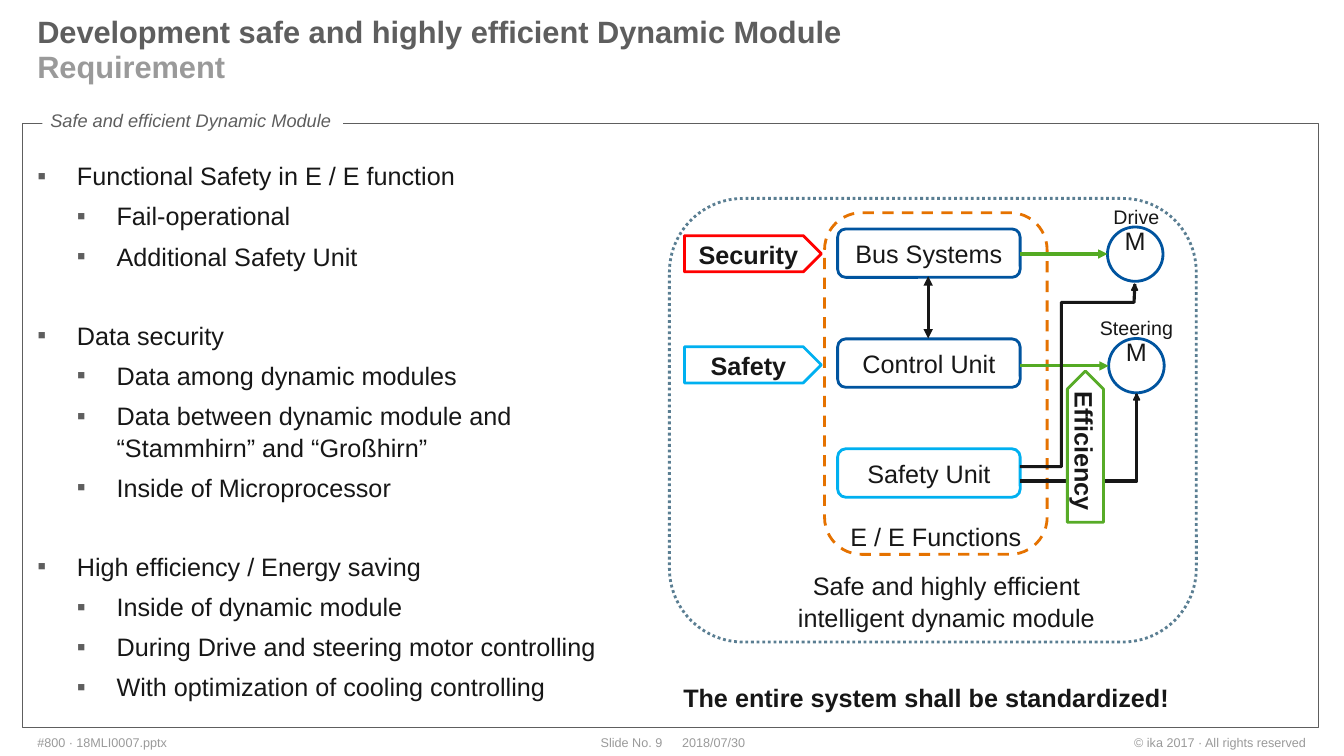
from dataclasses import dataclass

from lxml import etree
from pptx import Presentation
from pptx.dml.color import RGBColor
from pptx.enum.dml import MSO_LINE
from pptx.enum.shapes import MSO_CONNECTOR, MSO_SHAPE
from pptx.enum.text import MSO_ANCHOR, PP_ALIGN
from pptx.oxml.ns import qn
from pptx.util import Cm, Pt


@dataclass(frozen=True)
class Theme:
    font: str = "Arial"
    text: str = "171717"
    heading: str = "5E5E5E"
    muted: str = "9A9A9A"
    white: str = "FFFFFF"
    blue: str = "00549F"
    cyan: str = "00B0F0"
    red: str = "FF0000"
    orange: str = "E57200"
    signal: str = "54AA23"
    green: str = "57AB27"
    slate: str = "5A7E92"
    title_size: int = 22
    body_size: int = 18
    motor_size: int = 14
    label_size: int = 13
    footer_size: int = 9
    line_spacing: float = 1.05


theme = Theme()
presentation = Presentation()
presentation.slide_width, presentation.slide_height = Cm(33.87), Cm(19.05)
slide = presentation.slides.add_slide(presentation.slide_layouts[6])
shapes = slide.shapes


def add_outline(kind, frame, color, width=2, fill=None, dash=None):
    """Add a preset shape; without a fill colour it is see-through."""
    shape = shapes.add_shape(kind, *map(Cm, frame))
    shape.shadow.inherit = False
    if fill:
        shape.fill.solid()
        shape.fill.fore_color.rgb = RGBColor.from_string(fill)
    else:
        shape.fill.background()
    if color:
        shape.line.color.rgb = RGBColor.from_string(color)
        shape.line.width = Pt(width)
    else:
        shape.line.fill.background()
    if dash:
        shape.line.dash_style = dash
    return shape


def write(shape, text, size=theme.body_size, color=theme.text, bold=False, italic=False,
          align=PP_ALIGN.CENTER, anchor=MSO_ANCHOR.MIDDLE, insets=(0.25, 0.13, 0.25, 0.13)):
    """Fill the shape with one paragraph per line; insets are left, top, right, bottom."""
    frame = shape.text_frame
    frame.word_wrap = True
    frame.vertical_anchor = anchor
    (frame.margin_left, frame.margin_top,
     frame.margin_right, frame.margin_bottom) = map(Cm, insets)
    frame.text = text
    for paragraph in frame.paragraphs:
        paragraph.alignment = align
        paragraph.line_spacing = theme.line_spacing
        font = paragraph.font
        font.name, font.size = theme.font, Pt(size)
        font.bold, font.italic = bold, italic
        font.color.rgb = RGBColor.from_string(color)


# Footer
for text, left, width, align, insets in (
    ("© ika 2017 · All rights reserved", 26.26, 6.65, PP_ALIGN.RIGHT, (0, 0, 0, 0)),
    ("2018/07/30", 16.94, 3.2, PP_ALIGN.LEFT, (0.25, 0, 0, 0)),
    ("Slide No. 9", 12.27, 4.67, PP_ALIGN.RIGHT, (0, 0, 0.25, 0)),
    ("#800 · 18MLI0007.pptx", 0.94, 5.99, PP_ALIGN.LEFT, (0, 0, 0, 0)),
):
    footer = shapes.add_textbox(Cm(left), Cm(18.34), Cm(width), Cm(0.71))
    write(footer, text, theme.footer_size, theme.muted, align=align, insets=insets)

# Title
title = shapes.add_textbox(Cm(0.94), Cm(0.53), Cm(24.41), Cm(1.6))
write(title, "Development safe and highly efficient Dynamic Module\vRequirement",
      theme.title_size, theme.heading, bold=True, align=PP_ALIGN.LEFT,
      anchor=MSO_ANCHOR.BOTTOM, insets=(0, 0, 0, 0))
title_paragraph = title.text_frame.paragraphs[0]
title_paragraph.line_spacing = Pt(25)
title_paragraph.runs[1].font.color.rgb = RGBColor.from_string(theme.muted)

# Content frame and its label
add_outline(MSO_SHAPE.RECTANGLE, (0.58, 3.12, 32.64, 15.21), theme.heading, 0.75)
label = add_outline(MSO_SHAPE.RECTANGLE, (1.07, 2.62, 7.57, 0.81), None, fill=theme.white)
write(label, "Safe and efficient Dynamic Module", theme.label_size, theme.heading, italic=True,
      align=PP_ALIGN.LEFT, insets=(0.2, 0.13, 0.2, 0.13))

# Requirement list
requirements = (
    ("Functional Safety in E / E function",
     ("Fail-operational", "Additional Safety Unit")),
    ("Data security",
     ("Data among dynamic modules",
      "Data between dynamic module and “Stammhirn” and “Großhirn”",
      "Inside of Microprocessor")),
    ("High efficiency / Energy saving",
     ("Inside of dynamic module",
      "During Drive and steering motor controlling",
      "With optimization of cooling controlling")),
)
lines = [(text, level) for heading, points in requirements
         for text, level in ((heading, 0), *((point, 1) for point in points))]
body = shapes.add_textbox(Cm(0.94), Cm(4.01), Cm(15.34), Cm(14.3))
body.text_frame.text = "\n".join(text for text, level in lines)
for index, (paragraph, (text, level)) in enumerate(zip(body.text_frame.paragraphs, lines)):
    paragraph.level = level
    properties = paragraph._p.get_or_add_pPr()
    properties.set("marL", str(Cm(level + 1)))
    properties.set("indent", str(Cm(-1)))
    bullet_color = etree.SubElement(properties, qn("a:buClr"))
    etree.SubElement(bullet_color, qn("a:srgbClr")).set("val", theme.heading)
    etree.SubElement(properties, qn("a:buFont")).set("typeface", theme.font)
    etree.SubElement(properties, qn("a:buChar")).set("char", "▪")
    paragraph.line_spacing = theme.line_spacing
    paragraph.space_before = Pt(27.7 if index and level == 0 else 0)
    paragraph.space_after = Pt(6)
    paragraph.font.name, paragraph.font.size = theme.font, Pt(theme.body_size)
    paragraph.font.color.rgb = RGBColor.from_string(theme.text)
body_frame = body.text_frame
body_frame.word_wrap = True
body_frame.margin_left = body_frame.margin_right = Cm(0)
body_frame.margin_top = body_frame.margin_bottom = Cm(0)

conclusion = shapes.add_textbox(Cm(16.97), Cm(17.02), Cm(12.88), Cm(1.02))
write(conclusion, "The entire system shall be standardized!", bold=True,
      align=PP_ALIGN.LEFT, anchor=MSO_ANCHOR.TOP, insets=(0.25, 0.13, 0, 0.13))

# Units inside the E / E functions
for row, (text, color) in enumerate((("Bus Systems", theme.blue), ("Control Unit", theme.blue),
                                     ("Safety Unit", theme.cyan))):
    unit = add_outline(MSO_SHAPE.ROUNDED_RECTANGLE, (21.11, 5.77 + 2.77 * row, 4.6, 1.22),
                       color, fill=theme.white)
    write(unit, text)

for text, top, color in (("Security", 5.94, theme.red), ("Safety", 8.74, theme.cyan)):
    tag = add_outline(MSO_SHAPE.PENTAGON, (17.25, top, 3.45, 0.91), color, fill=theme.white)
    write(tag, text, bold=True)

functions = add_outline(MSO_SHAPE.ROUNDED_RECTANGLE, (20.78, 5.36, 5.61, 8.61),
                        theme.orange, dash=MSO_LINE.DASH)
write(functions, "E / E Functions", insets=(0, 7.65, 0, 0))

# Motors
for text, left, top, label_top in (("Steering", 27.94, 8.53, 7.8), ("Drive", 27.91, 5.72, 5)):
    motor = add_outline(MSO_SHAPE.OVAL, (left, top, 1.4, 1.37), theme.blue, fill=theme.white)
    write(motor, "M", insets=(0, 0, 0, 0.74))
    motor.text_frame.word_wrap = False
    motor_label = shapes.add_textbox(Cm(27.46), Cm(label_top), Cm(2.36), Cm(0.86))
    write(motor_label, text, theme.motor_size, anchor=MSO_ANCHOR.TOP, insets=(0, 0.13, 0, 0.13))

# Signal arrows
for start_x, start_y, end_x, end_y, color, ends in (
    (25.7, 6.4, 27.91, 6.4, theme.signal, ("tailEnd",)),
    (25.7, 9.22, 27.94, 9.22, theme.signal, ("tailEnd",)),
    (23.39, 6.96, 23.39, 8.53, theme.text, ("headEnd", "tailEnd")),
):
    arrow = shapes.add_connector(MSO_CONNECTOR.STRAIGHT, Cm(start_x), Cm(start_y),
                                 Cm(end_x), Cm(end_y))
    arrow.line.color.rgb = RGBColor.from_string(color)
    arrow.line.width = Pt(2.25)
    for end in ends:
        etree.SubElement(arrow.line._get_or_add_ln(), qn(f"a:{end}")).set("type", "triangle")
    etree.SubElement(arrow._element.spPr, qn("a:effectLst"))

# Safety wiring from the Safety Unit to the motors
for start, *corners in (
    ((25.7, 11.76), (26.75, 11.76), (26.75, 7.62), (28.58, 7.62), (28.6, 7.16)),
    ((25.7, 12.12), (28.65, 12.12), (28.65, 9.93)),
):
    builder = shapes.build_freeform(*map(Cm, start))
    builder.add_line_segments([(Cm(x), Cm(y)) for x, y in corners], close=False)
    wire = builder.convert_to_shape()
    wire.shadow.inherit = False
    wire.fill.background()
    wire.line.color.rgb = RGBColor.from_string(theme.text)
    wire.line.width = Pt(2.25)
    tip_x, tip_y = corners[-1]
    add_outline(MSO_SHAPE.ISOSCELES_TRIANGLE, (tip_x - 0.08, tip_y, 0.15, 0.15),
                theme.text, 1, theme.text)

efficiency = add_outline(MSO_SHAPE.PENTAGON, (25.45, 10.8, 3.81, 0.91), theme.green,
                         fill=theme.white)
efficiency.rotation = 90
efficiency._element.spPr.xfrm.set("flipH", "1")
write(efficiency, "Efficiency", bold=True)

# Dynamic module boundary
add_outline(MSO_SHAPE.ROUNDED_RECTANGLE, (16.87, 5, 13.28, 11.18), theme.slate,
            dash=MSO_LINE.ROUND_DOT)
caption = shapes.add_textbox(Cm(19.81), Cm(14.2), Cm(8.08), Cm(1.8))
write(caption, "Safe and highly efficient\nintelligent dynamic module",
      anchor=MSO_ANCHOR.TOP, insets=(0, 0.13, 0, 0.13))

presentation.save("out.pptx")
